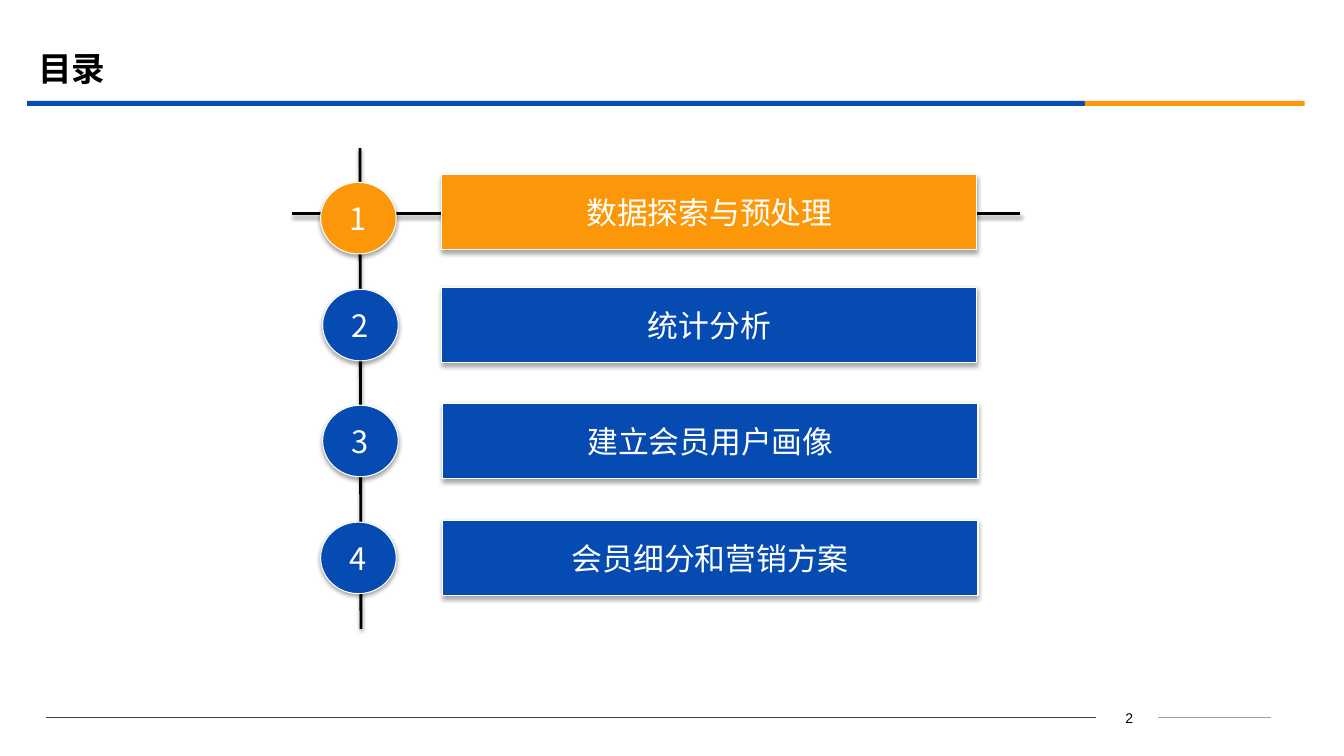
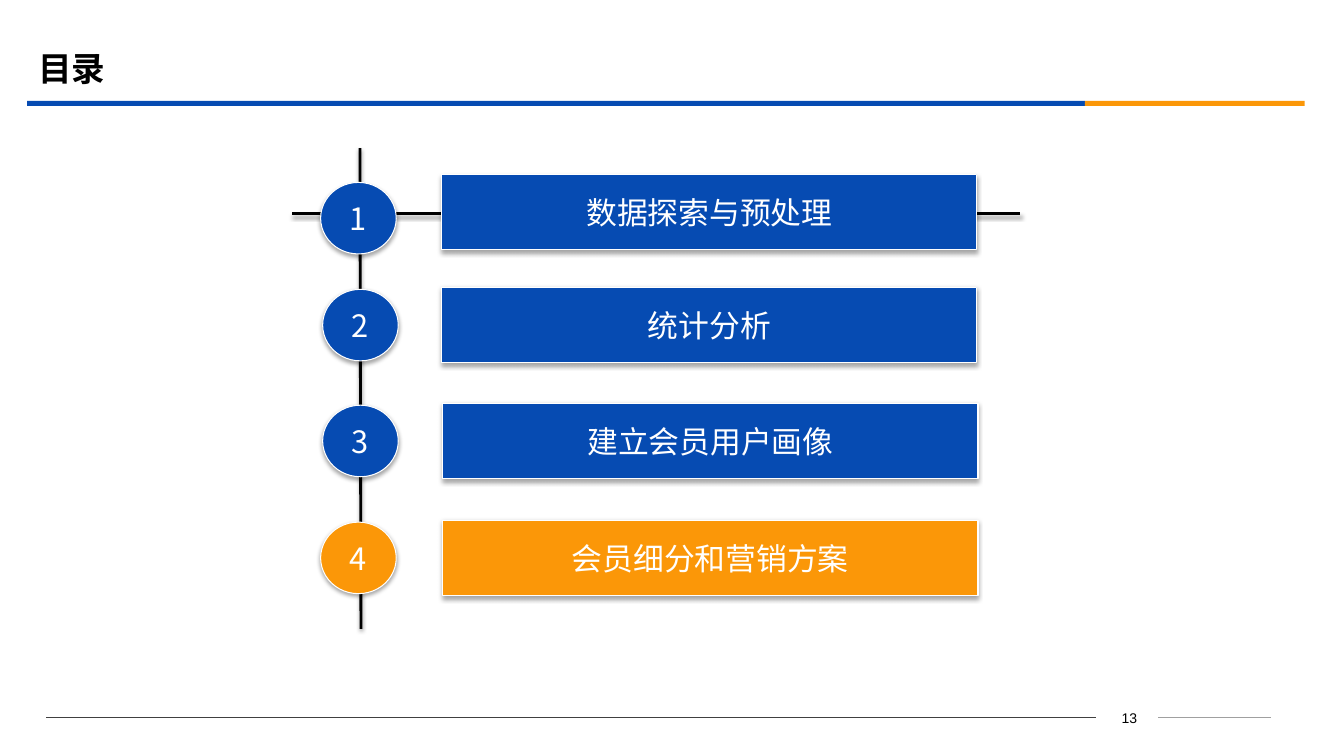
from lxml import etree
from pptx import Presentation
from pptx.dml.color import RGBColor
from pptx.enum.shapes import MSO_CONNECTOR, MSO_SHAPE
from pptx.enum.text import MSO_ANCHOR, PP_ALIGN
from pptx.oxml.ns import qn
from pptx.util import Inches, Pt

RECTANGLE = MSO_SHAPE.RECTANGLE
ELLIPSE = MSO_SHAPE.OVAL
BAR = MSO_SHAPE.ACTION_BUTTON_CUSTOM
STRAIGHT = MSO_CONNECTOR.STRAIGHT
MIDDLE = MSO_ANCHOR.MIDDLE
LEFT, CENTER = PP_ALIGN.LEFT, PP_ALIGN.CENTER

BLUE = RGBColor(0x06, 0x4B, 0xB2)
ORANGE = RGBColor(0xFB, 0x97, 0x08)
BLACK = RGBColor(0, 0, 0)
WHITE = RGBColor(0xFF, 0xFF, 0xFF)
DARK_GREY = RGBColor(0x40, 0x40, 0x40)
LIGHT_GREY = RGBColor(0xA0, 0xA0, 0xA0)

CHINESE_FONT = "Noto Sans CJK SC"
NUMBER_FONT = "Arial"

TITLE = "目录"
AGENDA_SLIDES = [
    {"page": "2", "current": 1},
    {"page": "13", "current": 4},
]
SECTIONS = [
    {"text": "数据探索与预处理", "circle": (3.18, 1.81), "bar": (4.38, 1.73)},
    {"text": "统计分析", "circle": (3.2, 2.87), "bar": (4.38, 2.85)},
    {"text": "建立会员用户画像", "circle": (3.2, 4.02), "bar": (4.39, 4)},
    {"text": "会员细分和营销方案", "circle": (3.18, 5.18), "bar": (4.39, 5.16)},
]
CIRCLE_SIZE = (0.75, 0.71)
BAR_SIZE = (5.31, 0.75)
AXES = [(3.57, 1.47, 3.58, 6.24), (2.9, 2.12, 10.12, 2.12)]
TITLE_BANDS = [(0.27, 10.49, BLUE), (10.76, 2.18, ORANGE)]
FOOTER_LINES = [(0.46, 10.87, DARK_GREY), (11.49, 12.61, LIGHT_GREY)]
FOOTER_TOP = 7.12


def inches(*lengths):
    return [Inches(length) for length in lengths]


def write(frame, text, size, font_name, color, alignment=CENTER, bold=False):
    paragraph = frame.paragraphs[0]
    paragraph.alignment = alignment
    run = paragraph.add_run()
    run.text = text
    run.font.size = Pt(size)
    run.font.name = font_name
    run.font.bold = bold
    run.font.color.rgb = color
    east_asian = etree.SubElement(run.font._element, qn("a:ea"))
    east_asian.set("typeface", font_name)


def set_effects(shape, distance=None, opacity=None):
    effects = etree.SubElement(shape._element.spPr, qn("a:effectLst"))
    if distance is None:
        return
    shadow = etree.SubElement(effects, qn("a:outerShdw"), {
        "blurRad": str(Pt(3.1)), "dist": str(Pt(distance)),
        "dir": "5400000", "rotWithShape": "0"})
    color = etree.SubElement(shadow, qn("a:srgbClr"), val=str(BLACK))
    etree.SubElement(color, qn("a:alpha"), val=str(opacity * 1000))


def add_line(slide, ends, color, width, **shadow):
    line = slide.shapes.add_connector(STRAIGHT, *inches(*ends))
    line.line.color.rgb = color
    line.line.width = Pt(width)
    set_effects(line, **shadow)


def add_frame(slide, page):
    title = slide.shapes.title
    title.left, title.top, title.width, title.height = inches(0.28, 0.39, 12, 0.58)
    title.text_frame.vertical_anchor = MIDDLE
    write(title.text_frame, TITLE, 24, CHINESE_FONT, BLACK, LEFT, True)

    for left, width, color in TITLE_BANDS:
        band = slide.shapes.add_shape(RECTANGLE, *inches(left, 1, width, 0.05))
        band.shadow.inherit = False
        band.fill.solid()
        band.fill.fore_color.rgb = color
        band.line.fill.background()

    for start, end, color in FOOTER_LINES:
        add_line(slide, (start, FOOTER_TOP, end, FOOTER_TOP), color, 0.75)
    number = slide.shapes.add_textbox(*inches(10.89, 6.99, 0.62, 0.25))
    number.text_frame.word_wrap = True
    write(number.text_frame, page, 10, NUMBER_FONT, BLACK)


def add_button(slide, kind, position, size, text, color):
    button = slide.shapes.add_shape(kind, *inches(*position, *size))
    button.fill.solid()
    button.fill.fore_color.rgb = color
    button.line.color.rgb = WHITE
    button.line.width = Pt(0.75)
    set_effects(button, distance=1.8, opacity=35)
    button.text_frame.word_wrap = False
    button.text_frame.vertical_anchor = MIDDLE
    write(button.text_frame, text, 22, CHINESE_FONT, WHITE)


def add_agenda(slide, current):
    for ends in AXES:
        add_line(slide, ends, BLACK, 2, distance=1.6, opacity=38)
    for number, section in enumerate(SECTIONS, 1):
        color = ORANGE if number == current else BLUE
        add_button(slide, ELLIPSE, section["circle"], CIRCLE_SIZE, str(number), color)
        add_button(slide, BAR, section["bar"], BAR_SIZE, section["text"], color)


def main():
    presentation = Presentation()
    presentation.slide_width, presentation.slide_height = inches(13.33, 7.5)
    title_only = presentation.slide_layouts[5]
    for agenda in AGENDA_SLIDES:
        slide = presentation.slides.add_slide(title_only)
        add_frame(slide, agenda["page"])
        add_agenda(slide, agenda["current"])
    presentation.save("out.pptx")


if __name__ == "__main__":
    main()
